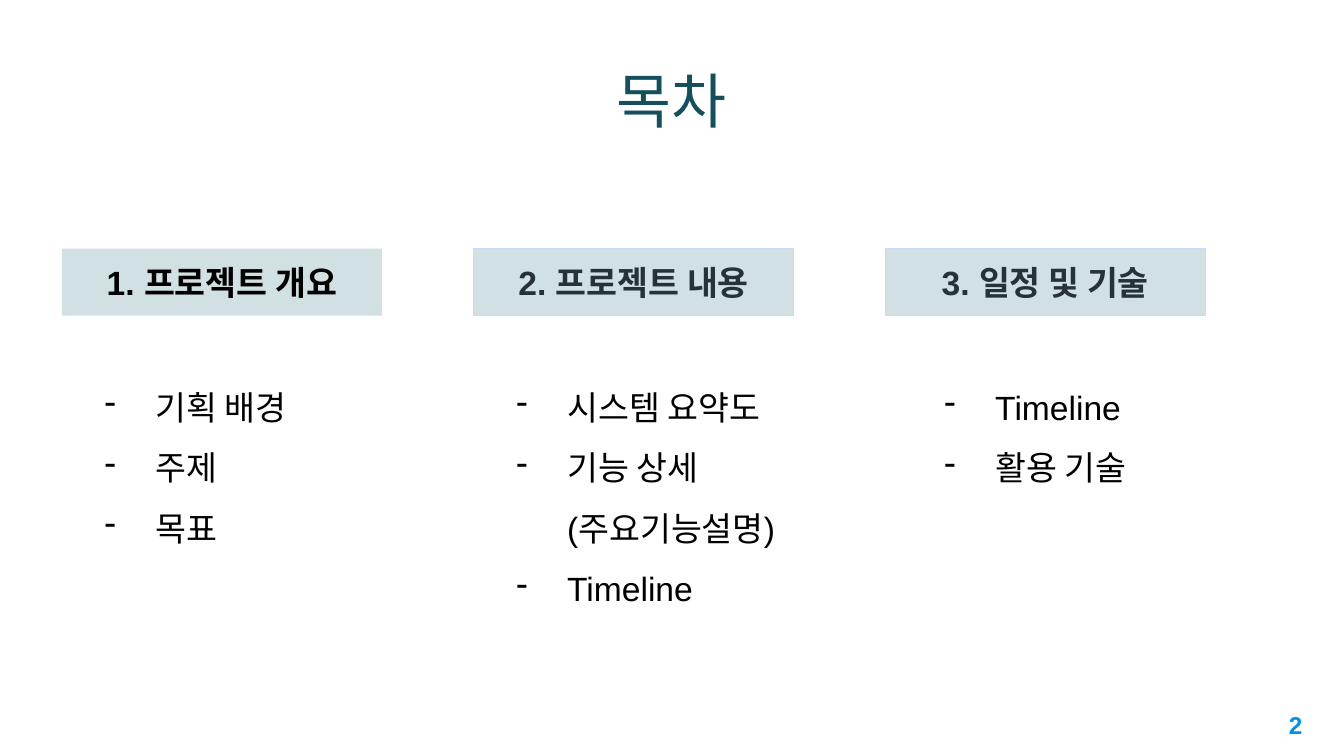
from lxml import etree
from pptx import Presentation
from pptx.dml.color import RGBColor
from pptx.enum.shapes import MSO_SHAPE
from pptx.enum.text import MSO_ANCHOR, PP_ALIGN
from pptx.oxml.ns import qn
from pptx.util import Cm, Pt

RECT = MSO_SHAPE.RECTANGLE
TOP, MIDDLE, BOTTOM = MSO_ANCHOR.TOP, MSO_ANCHOR.MIDDLE, MSO_ANCHOR.BOTTOM
LEFT, CENTER, RIGHT = PP_ALIGN.LEFT, PP_ALIGN.CENTER, PP_ALIGN.RIGHT

FIRST, STEP = 1.17, 7.78
HEAD_TOP, LIST_TOP = 4.7, 6.68
HEAD_W, HEAD_H = 6.05, 1.27

TOPICS = [
    ("1. 프로젝트 개요", "000000", None, 0.25, 5.11, 3.58,
     ["기획 배경", "주제", "목표"]),
    ("2. 프로젝트 내용", "263238", "C9DAF8", 0.25, 6.05, 4.75,
     ["시스템 요약도", "기능 상세 (주요기능설명)", "Timeline"]),
    ("3. 일정 및 기술", "263238", "C9DAF8", 0.56, 5.49, 2.44,
     ["Timeline", "활용 기술"]),
]


def paint(target, color):
    target.rgb = RGBColor.from_string(color)


def write(shape, lines, size, color, align=LEFT, anchor=TOP, bold=False):
    frame = shape.text_frame
    frame.word_wrap = True
    frame.vertical_anchor = anchor
    frame.margin_left = frame.margin_right = Cm(0.25)
    frame.margin_top = frame.margin_bottom = Cm(0.25)
    frame.text = "\n".join(lines)
    for para in frame.paragraphs:
        para.alignment = align
        para.font.name = "Arial"
        para.font.size = Pt(size)
        para.font.bold = bold
        paint(para.font.color, color)
    return frame.paragraphs


def add_label(slide, box, text, size, color, **style):
    label = slide.shapes.add_textbox(*map(Cm, box))
    write(label, [text], size, color, **style)


def add_head(slide, box, text, color, edge):
    head = slide.shapes.add_shape(RECT, *map(Cm, box))
    head.shadow.inherit = False
    head.fill.solid()
    paint(head.fill.fore_color, "D0E0E3")
    if edge:
        paint(head.line.color, edge)
        head.line.width = Pt(0.75)
    else:
        head.line.fill.background()
    for para in write(head, [text], 18, color, CENTER, MIDDLE, True):
        para.space_before = Pt(6)


def add_list(slide, box, items):
    area = slide.shapes.add_textbox(*map(Cm, box))
    for para in write(area, items, 18, "000000"):
        para.line_spacing = 1.5
        props = para._p.get_or_add_pPr()
        props.set("marL", str(Cm(1.27)))
        props.set("indent", str(-Cm(0.96)))
        dash = etree.Element(qn("a:buChar"), char="-")
        props.find(qn("a:lnSpc")).addnext(dash)


def main():
    deck = Presentation()
    deck.slide_width, deck.slide_height = Cm(25.4), Cm(14.29)
    slide = deck.slides.add_slide(deck.slide_layouts[6])
    add_label(slide, (2.18, 0.86, 21.03, 1.96), "목차", 32, "134F5C",
              align=CENTER, anchor=BOTTOM)
    add_label(slide, (23.34, 13.18, 1.52, 1.09), "2", 13, "0091EA",
              align=RIGHT, bold=True)
    for index, (name, color, edge, shift, width, height, items) in enumerate(TOPICS):
        left = FIRST + index * STEP
        add_head(slide, (left, HEAD_TOP, HEAD_W, HEAD_H), name, color, edge)
        add_list(slide, (left + shift, LIST_TOP, width, height), items)
    deck.save("out.pptx")


if __name__ == "__main__":
    main()
